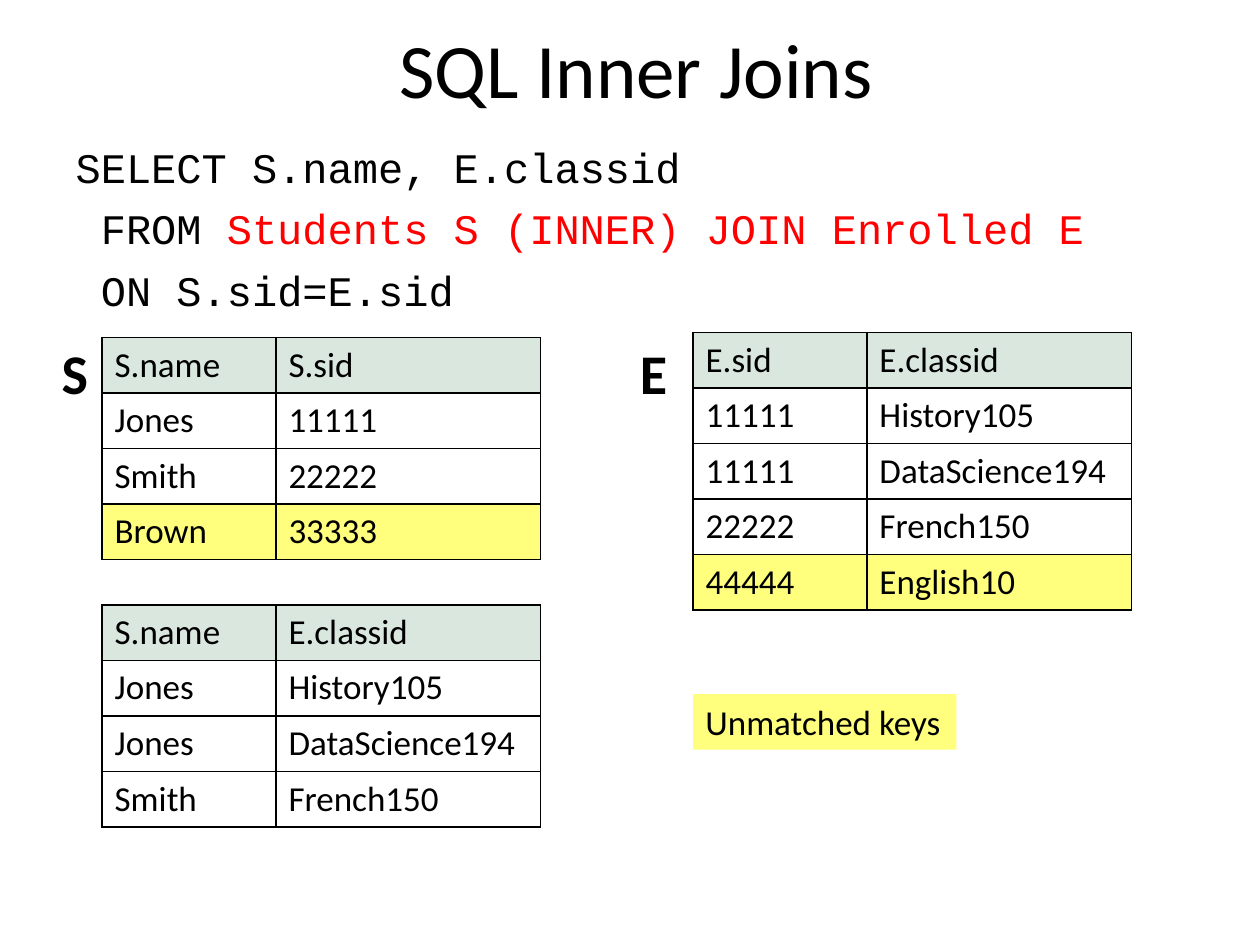
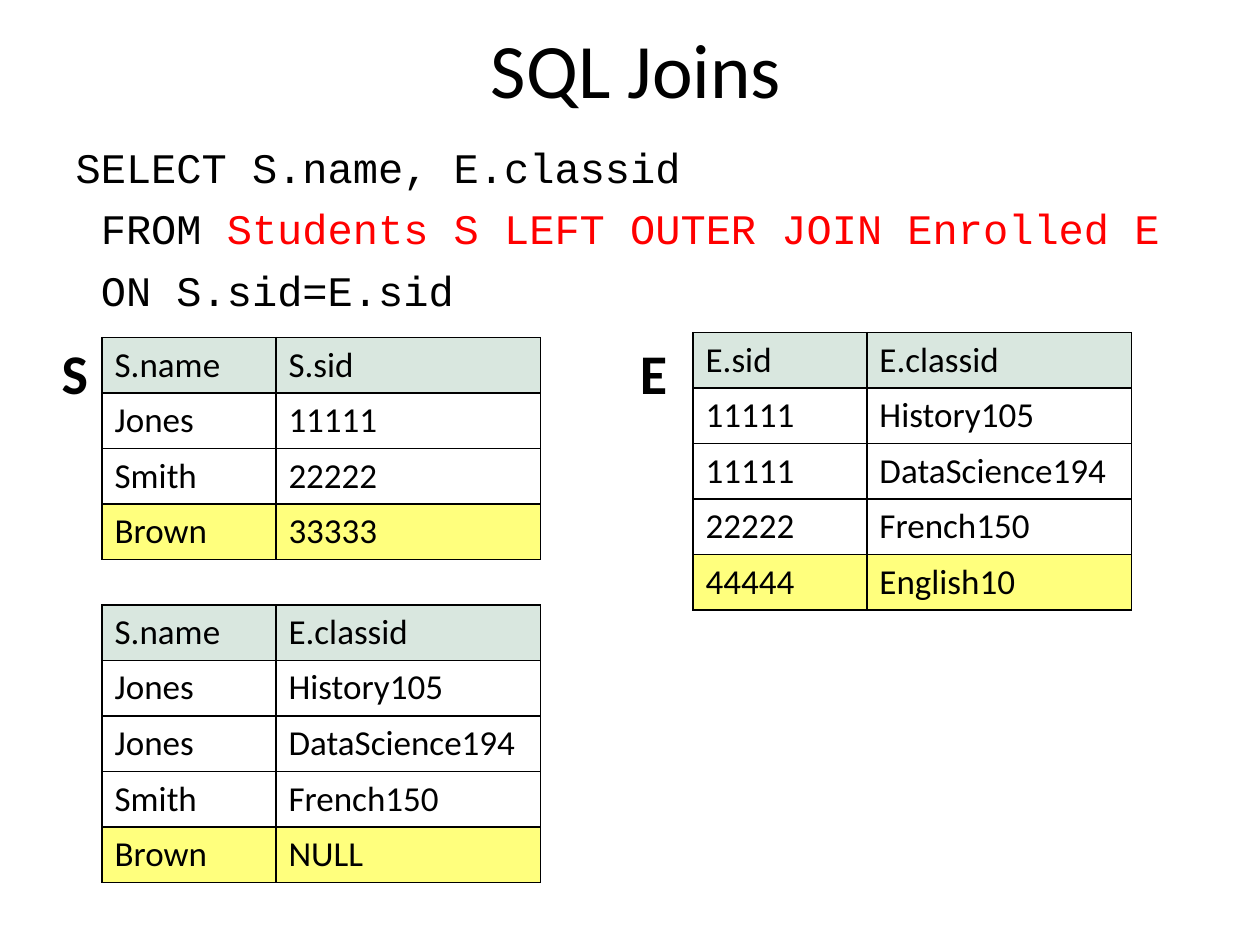
from lxml.etree import SubElement
from pptx import Presentation
from pptx.dml.color import RGBColor
from pptx.enum.shapes import MSO_SHAPE
from pptx.enum.text import MSO_ANCHOR, MSO_AUTO_SIZE, PP_ALIGN
from pptx.oxml.ns import qn
from pptx.util import Inches, Pt

GRID_COLUMNS, GRID_ROWS = 100, 75
BLACK, RED = "000000", "FF0000"
HEADER_GREEN, UNMATCHED_YELLOW = "D9E7DF", "FFFF7D"
TEXT_FONT, CODE_FONT = "Calibri", "Courier New"

KEY_WIDTH, VALUE_WIDTH, ROW_HEIGHT = 13.8, 21, 4.4
LEFT_TABLE, RIGHT_TABLE = 8.1, 55
STUDENTS = [("S.name", "S.sid"), ("Jones", "11111"), ("Smith", "22222"),
            ("Brown", "33333")]
ENROLLED = [("E.sid", "E.classid"), ("11111", "History105"),
            ("11111", "DataScience194"), ("22222", "French150"),
            ("44444", "English10")]
MATCHED = [("S.name", "E.classid"), ("Jones", "History105"),
           ("Jones", "DataScience194"), ("Smith", "French150")]


def color(hex_code):
    return RGBColor.from_string(hex_code)


def set_font(target, size, name=TEXT_FONT, bold=False):
    font = target.font
    font.name, font.size, font.bold = name, Pt(size), bold
    font.color.rgb = color(BLACK)


def remove_bullet(para):
    properties = para._p.get_or_add_pPr()
    properties.set("marL", "0")
    properties.set("indent", "0")
    SubElement(properties, qn("a:buNone"))


def add_borders(cell):
    properties = cell._tc.get_or_add_tcPr()
    for side in ("lnL", "lnR", "lnT", "lnB"):
        line = SubElement(properties, qn(f"a:{side}"), w=str(Pt(1)))
        fill = SubElement(line, qn("a:solidFill"))
        SubElement(fill, qn("a:srgbClr"), val=BLACK)


class JoinDeck:
    """Holds the deck, its grid and the slide being filled."""

    def __init__(self):
        self.deck = Presentation()
        self.deck.slide_width, self.deck.slide_height = Inches(10), Inches(7.5)
        self.column = self.deck.slide_width / GRID_COLUMNS
        self.row = self.deck.slide_height / GRID_ROWS
        self.slide = None

    def area(self, left, top, width, height):
        """Turn grid columns and rows into slide lengths."""
        return (round(left * self.column), round(top * self.row),
                round(width * self.column), round(height * self.row))

    def place(self, shape, *cells):
        shape.left, shape.top, shape.width, shape.height = self.area(*cells)

    def add_slide(self, title):
        self.slide = self.deck.slides.add_slide(self.deck.slide_layouts[1])
        heading = self.slide.shapes.title
        self.place(heading, 8.1, 0.8, 84.8, 9.1)
        frame = heading.text_frame
        frame.text = title
        frame.auto_size = MSO_AUTO_SIZE.NONE
        frame.vertical_anchor = MSO_ANCHOR.MIDDLE
        para = frame.paragraphs[0]
        para.alignment = PP_ALIGN.CENTER
        set_font(para, 44)

    def add_query(self, join):
        body = self.slide.placeholders[1]
        self.place(body, 5, 9.9, 91.9, 61.9)
        frame = body.text_frame
        frame.auto_size = MSO_AUTO_SIZE.NONE
        frame.margin_top = Inches(0.13)
        lines = [("SELECT S.name, E.classid", ""), (" FROM ", join),
                 (" ON S.sid=E.sid", "")]
        for index, (code, highlight) in enumerate(lines):
            para = frame.add_paragraph() if index else frame.paragraphs[0]
            remove_bullet(para)
            para.space_before = Pt(6.4 if index else 0)
            set_font(para, 24, CODE_FONT)
            para.add_run().text = code
            if highlight:
                span = para.add_run()
                span.text = highlight
                span.font.color.rgb = color(RED)

    def add_table(self, left, top, records, unmatched=()):
        """Draw records under a header, marking rows whose key is unmatched."""
        widths = (KEY_WIDTH, VALUE_WIDTH)
        area = self.area(left, top, sum(widths), ROW_HEIGHT * len(records))
        table = self.slide.shapes.add_table(len(records), len(widths), *area).table
        table.first_row = table.horz_banding = False
        for column, width in zip(table.columns, widths):
            column.width = round(width * self.column)
        for index, record in enumerate(records):
            for cell, text in zip(table.rows[index].cells, record):
                cell.text = text
                set_font(cell.text_frame.paragraphs[0], 20)
                add_borders(cell)
                if index == 0 or record[0] in unmatched:
                    cell.fill.solid()
                    cell.fill.fore_color.rgb = color(
                        UNMATCHED_YELLOW if index else HEADER_GREEN)
                else:
                    cell.fill.background()

    def fill_label(self, box, text, size, bold=False):
        frame = box.text_frame
        frame.text = text
        frame.word_wrap = False
        frame.auto_size = MSO_AUTO_SIZE.SHAPE_TO_FIT_TEXT
        frame.vertical_anchor = MSO_ANCHOR.TOP
        para = frame.paragraphs[0]
        para.alignment = PP_ALIGN.LEFT
        set_font(para, size, bold=bold)

    def add_table_name(self, left, name):
        box = self.slide.shapes.add_textbox(*self.area(left, 26.4, 4.2, 6.4))
        self.fill_label(box, name, 32, bold=True)

    def add_legend(self, text):
        box = self.slide.shapes.add_shape(
            MSO_SHAPE.RECTANGLE, *self.area(RIGHT_TABLE, 55.1, 20.9, 4.4))
        box.shadow.inherit = False
        box.fill.solid()
        box.fill.fore_color.rgb = color(UNMATCHED_YELLOW)
        box.line.fill.background()
        self.fill_label(box, text, 20)

    def add_join(self, title, join, result, unmatched=()):
        """Add a slide with the query, both source tables and the result."""
        self.add_slide(title)
        self.add_query(join)
        self.add_table(LEFT_TABLE, 26.8, STUDENTS, ["Brown"])
        self.add_table(RIGHT_TABLE, 26.4, ENROLLED, ["44444"])
        self.add_table(LEFT_TABLE, 48, result, unmatched)
        self.add_table_name(49.8, "E")
        self.add_table_name(3.9, "S")


def main():
    joins = JoinDeck()
    joins.add_join("SQL Inner Joins", "Students S (INNER) JOIN Enrolled E", MATCHED)
    joins.add_legend("Unmatched keys")
    joins.add_join("SQL Joins", "Students S LEFT OUTER JOIN Enrolled E",
                   MATCHED + [("Brown", "NULL")], ["Brown"])
    joins.deck.save("out.pptx")


if __name__ == "__main__":
    main()
